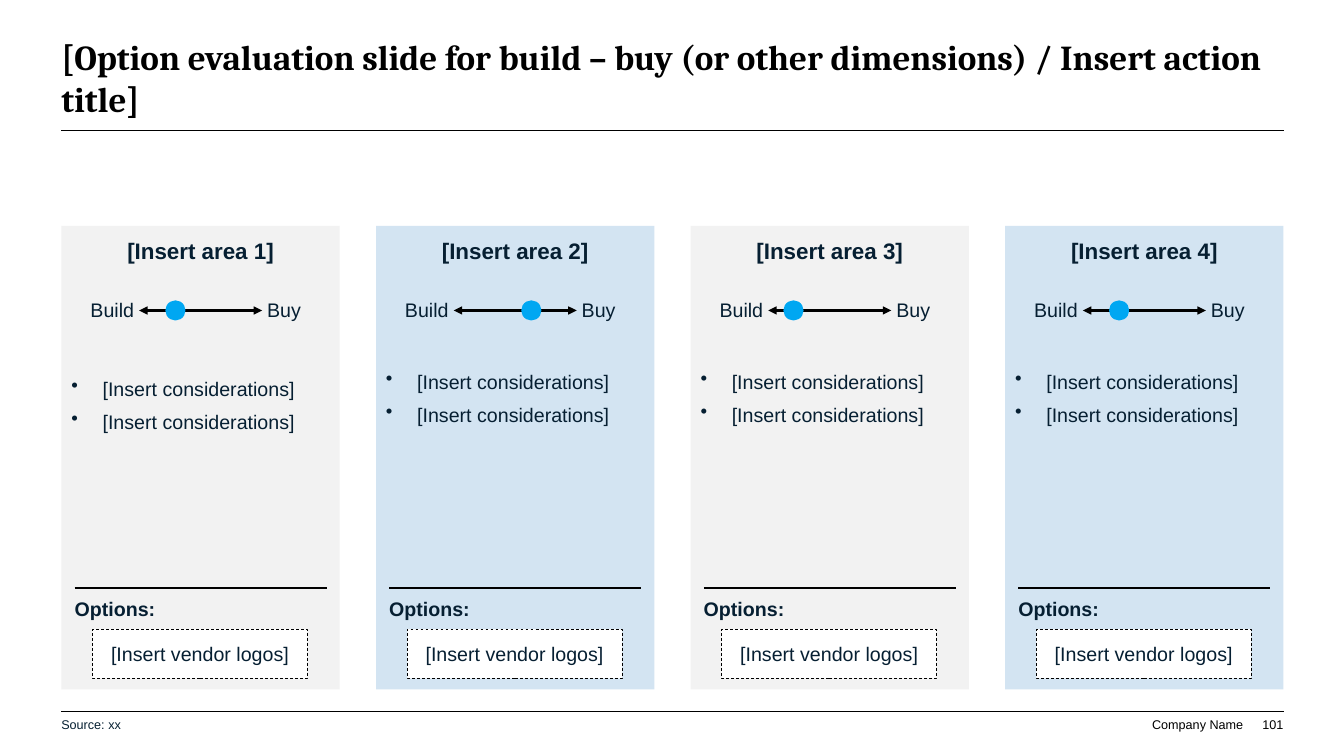
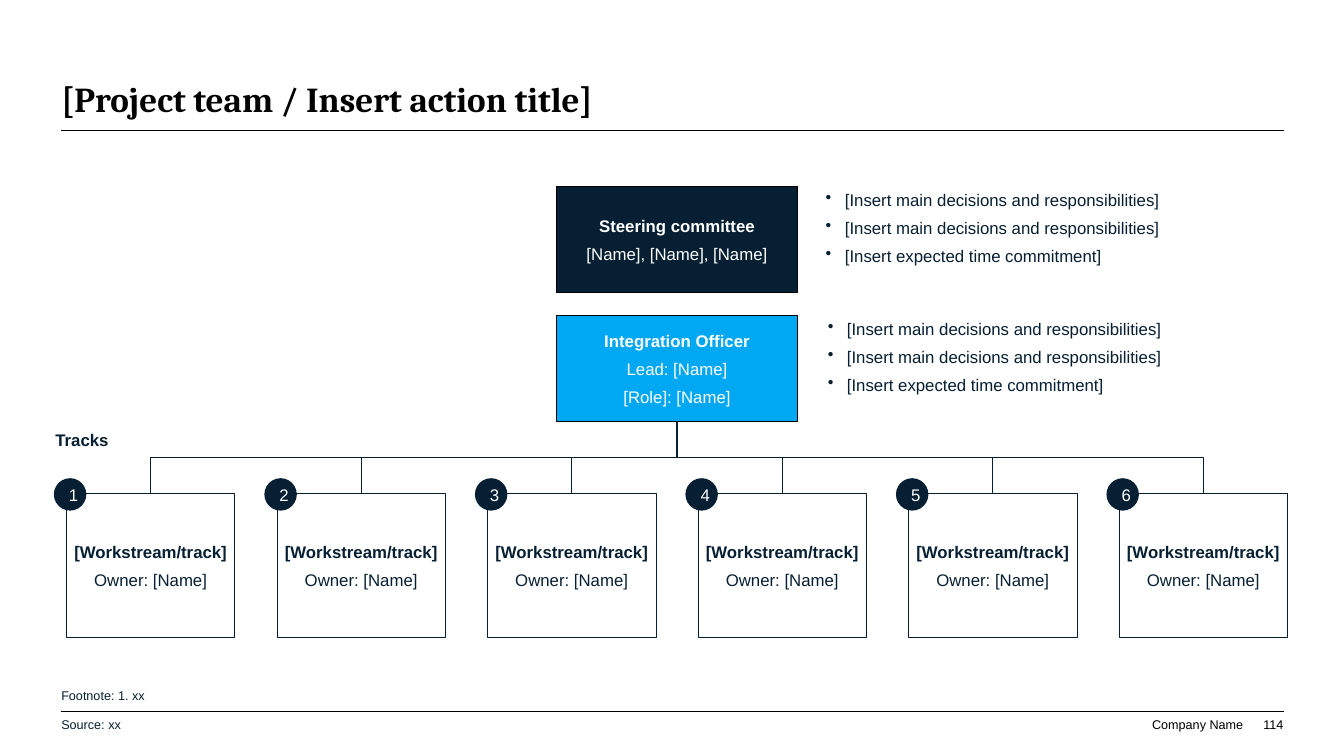
from dataclasses import dataclass

from lxml.etree import SubElement
from pptx import Presentation
from pptx.dml.color import RGBColor as RGB
from pptx.enum.dml import MSO_LINE as Dash
from pptx.enum.shapes import MSO_CONNECTOR as Wire, MSO_SHAPE as Form
from pptx.enum.text import MSO_ANCHOR as Anchor, MSO_AUTO_SIZE as Fit, PP_ALIGN as Align
from pptx.oxml.ns import qn
from pptx.util import Inches, Pt


@dataclass(frozen=True)
class Theme:
    ink: str = "061F32"
    note: str = "062032"
    black: str = "000000"
    white: str = "FFFFFF"
    blue: str = "00A7F2"
    pale: str = "D3E4F2"
    gray: str = "F2F2F2"
    sans: str = "Arial"
    serif: str = "Cambria"
    title: float = 25
    head: float = 16
    body: float = 14
    team: float = 12
    foot: float = 9
    lead: float = 1.05


T = Theme()
FLUSH = (0, 0, 0, 0)
SLIM = (0.02, 0.02, 0.02, 0.02)
PLAIN = (0.1, 0.05, 0.1, 0.05)


def box(slide, at, lines, form=None, fill=None, edge=None, width=0.5, size=T.body,
        color=T.ink, bold=False, align=Align.LEFT, anchor=Anchor.TOP, pad=FLUSH,
        after=0, indent=0):
    """Add a text box, or a shape if form is given.

    bold marks the first line only; indent bullets every line that is not bold.
    """
    at = [Inches(n) for n in at]
    if form is None:
        item = slide.shapes.add_textbox(*at)
    else:
        item = slide.shapes.add_shape(form, *at)
        item.shadow.inherit = False
        if fill:
            item.fill.solid()
            item.fill.fore_color.rgb = RGB.from_string(fill)
        else:
            item.fill.background()
        if edge:
            item.line.color.rgb = RGB.from_string(edge)
            item.line.width = Pt(width)
        else:
            item.line.fill.background()
    frame = item.text_frame
    frame.text = "\n".join(lines)
    frame.word_wrap = True
    frame.vertical_anchor = anchor
    (frame.margin_left, frame.margin_top,
     frame.margin_right, frame.margin_bottom) = [Inches(n) for n in pad]
    for i, para in enumerate(frame.paragraphs):
        strong = bold and i == 0
        bullet = indent and not strong
        if bullet:
            props = para._p.get_or_add_pPr()
            props.set("marL", str(Inches(indent)))
            props.set("indent", str(-Inches(indent)))
            SubElement(props, qn("a:buChar")).set("char", "•")
        para.alignment = Align.LEFT if bullet else align
        para.line_spacing = T.lead if len(lines) > 1 else 1
        para.space_after = Pt(after)
        for run in para.runs:
            run.font.name = T.sans
            run.font.size = Pt(size)
            run.font.bold = strong
            run.font.color.rgb = RGB.from_string(color)
    return item


def wire(slide, start, end, color=T.black, width=0.5, kind=Wire.STRAIGHT):
    ends = [Inches(n) for n in (*start, *end)]
    link = slide.shapes.add_connector(kind, *ends)
    link.line.color.rgb = RGB.from_string(color)
    link.line.width = Pt(width)
    SubElement(link._element.spPr, qn("a:effectLst"))
    return link


deck = Presentation()
deck.slide_width, deck.slide_height = Inches(13.33), Inches(7.5)
LEFT, RIGHT = 0.61, 12.73

# Shared frame: title, rules, footer
slides = []
for title, page in (
    ("[Option evaluation slide for build – buy (or other dimensions) / Insert action title]", "101"),
    ("[Project team / Insert action title]", "114"),
):
    slide = deck.slides.add_slide(deck.slide_layouts[5])
    slides.append(slide)
    head = slide.shapes.title
    head.left, head.top = Inches(LEFT), Inches(0.39)
    head.width, head.height = Inches(RIGHT - LEFT), Inches(0.8)
    frame = head.text_frame
    frame.text = title
    frame.word_wrap = True
    frame.auto_size = Fit.NONE
    frame.vertical_anchor = Anchor.BOTTOM
    frame.margin_left = frame.margin_top = frame.margin_right = frame.margin_bottom = 0
    frame.paragraphs[0].alignment = Align.LEFT
    font = frame.paragraphs[0].runs[0].font
    font.name, font.size, font.bold = T.serif, Pt(T.title), True
    font.color.rgb = RGB.from_string(T.black)
    for y in (1.29, 7.06):
        wire(slide, (LEFT, y), (RIGHT, y))
    for at, text in (((11, 7.11, 1.33, 0.15), "Company Name"),
                     ((12.37, 7.11, 0.36, 0.15), page)):
        box(slide, at, [text], size=T.foot, color=T.black, align=Align.RIGHT,
            anchor=Anchor.BOTTOM)
    box(slide, (0.51, 6.99, 7.98, 0.4), ["Source: xx"], size=T.foot, color=T.note,
        anchor=Anchor.MIDDLE, pad=PLAIN)

areas, team = slides

# Option columns: fill, dot offset, gap above the bullets in points
for i, (fill, dot, gap) in enumerate((
    (T.gray, 1.03, 76.5), (T.pale, 1.44, 71.5),
    (T.gray, 0.92, 71.5), (T.pale, 1.03, 71.5),
)):
    x = LEFT + 3.12 * i
    panel = box(areas, (x, 2.24, 2.76, 4.6),
                [f"[Insert area {i + 1}]"] + ["[Insert considerations]"] * 2,
                Form.RECTANGLE, fill, bold=True, align=Align.CENTER,
                pad=(0.1, 0.1, 0.1, 0.05), after=3, indent=0.31)
    first, second, third = panel.text_frame.paragraphs
    first.runs[0].font.size = Pt(T.head)
    second.space_before, third.space_before = Pt(gap), Pt(3)

    build = box(areas, (x + 0.13, 2.96, 0.64, 0.24), ["Build"], align=Align.RIGHT,
                pad=(0, 0, 0.05, 0))
    buy = box(areas, (x + 1.99, 2.96, 0.64, 0.24), ["Buy"], pad=(0.05, 0, 0, 0))
    scale = wire(areas, (x + 0.77, 3.08), (x + 1.99, 3.08), width=2)
    scale.begin_connect(build, 3)
    scale.end_connect(buy, 1)
    for tip in ("a:headEnd", "a:tailEnd"):
        SubElement(scale._element.spPr.find(qn("a:ln")), qn(tip)).set("type", "triangle")
    box(areas, (x + dot, 2.98, 0.2, 0.2), [], Form.OVAL, T.blue)

    wire(areas, (x + 0.13, 5.83), (x + 2.63, 5.83), width=1.25)
    box(areas, (x + 0.13, 5.92, 1.1, 0.27), ["Options:"], bold=True)
    logos = box(areas, (x + 0.31, 6.24, 2.13, 0.49), ["[Insert vendor logos]"],
                Form.RECTANGLE, T.white, T.black, align=Align.CENTER,
                anchor=Anchor.MIDDLE, pad=PLAIN)
    logos.line.dash_style = Dash.DASH

# Project leads and their duties
duties = ["[Insert main decisions and responsibilities]"] * 2 + ["[Insert expected time commitment]"]
for y, fill, lines, x in (
    (1.85, T.ink, ["Steering committee", "[Name], [Name], [Name]"], 8.17),
    (3.13, T.blue, ["Integration Officer", "Lead: [Name]", "[Role]: [Name]"], 8.19),
):
    lead = box(team, (5.52, y, 2.39, 1.05), lines, Form.RECTANGLE, fill, T.black,
               size=T.team, color=T.white, bold=True, align=Align.CENTER,
               anchor=Anchor.MIDDLE, pad=SLIM, after=5)
    box(team, (x, y, 4.16, 1.05), duties, size=T.team, pad=SLIM, after=5, indent=0.19)

# Tracks under the officer, who is the last lead drawn
box(team, (0.53, 4.17, 0.86, 0.31), ["Tracks"], size=T.team, bold=True,
    anchor=Anchor.BOTTOM, pad=SLIM, after=5)
for i in range(6):
    x = 0.66 + 2.088 * i
    track = box(team, (x, 4.89, 1.67, 1.43), ["[Workstream/track]", "Owner: [Name]"],
                Form.RECTANGLE, edge=T.ink, size=T.team, bold=True, align=Align.CENTER,
                anchor=Anchor.MIDDLE, pad=(0.06, 0.02, 0.06, 0.02), after=5)
    link = wire(team, (6.72, 4.18), (x + 0.84, 4.89), T.ink, 0.75, Wire.ELBOW)
    link.begin_connect(lead, 2)
    link.end_connect(track, 0)
    # A quarter turn makes the elbow leave downwards
    start, end = lead.left + lead.width // 2, track.left + track.width // 2
    top = lead.top + lead.height
    drop, span = track.top - top, abs(end - start)
    link.left, link.top = (start + end - drop) // 2, top + (drop - span) // 2
    link.width, link.height = drop, span
    turn = link._element.spPr.xfrm
    turn.set("rot", str((270 if end > start else 90) * 60000))
    turn.set("flipH", "1" if end > start else "0")
    box(team, (x - 0.12, 4.75, 0.31, 0.31), [str(i + 1)], Form.OVAL, T.ink, T.ink, 0.85,
        size=T.team, color=T.white, align=Align.CENTER, anchor=Anchor.MIDDLE, pad=PLAIN)

box(team, (0.51, 6.7, 10.27, 0.4), ["Footnote: 1. xx"], size=T.foot, color=T.note,
    anchor=Anchor.MIDDLE, pad=PLAIN)

deck.save("out.pptx")
